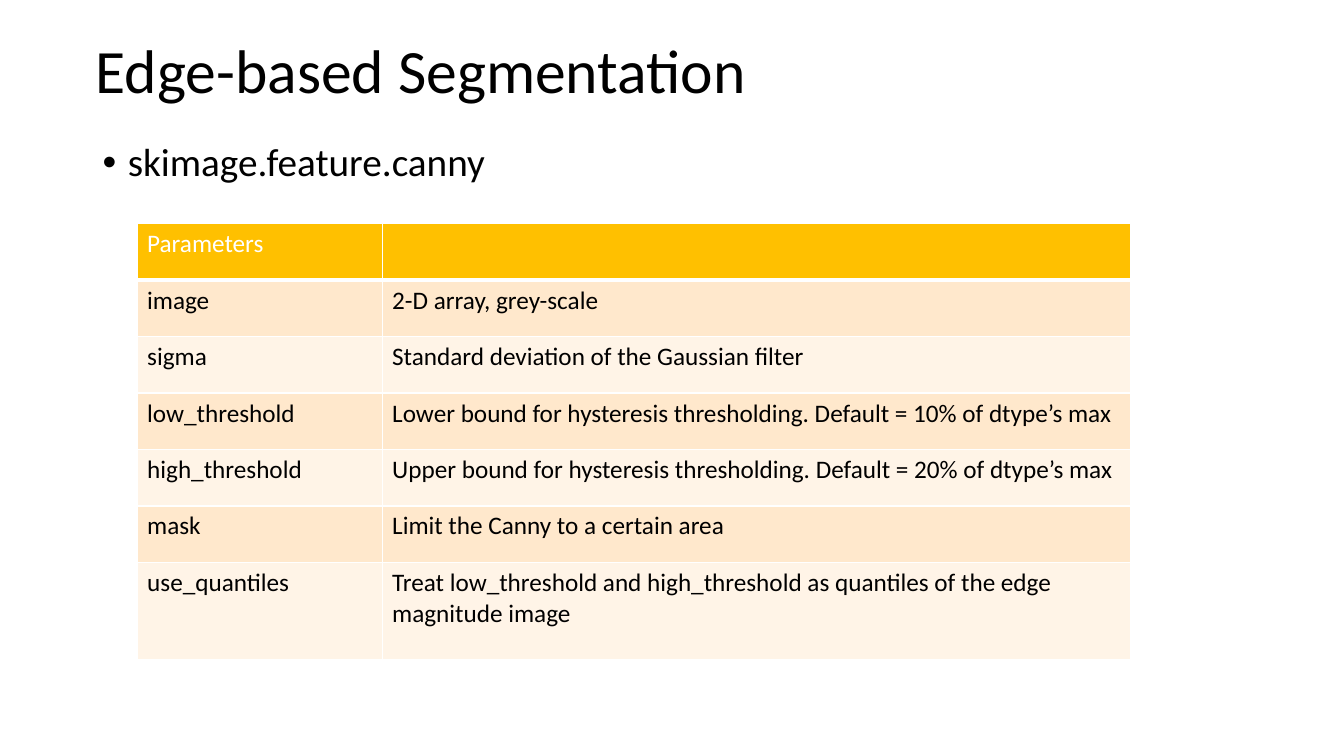
"""Build the slide on the parameters of skimage.feature.canny."""
import lxml.etree
import pptx
import pptx.dml.color
import pptx.enum.text
import pptx.oxml
import pptx.oxml.ns
import pptx.util

PX = 9144
THEME = {
    "font": "Calibri",
    "text": "000000",
    "header_text": "FFFFFF",
    "header": "FFC000",
    "bands": ("FFE8CC", "FFF4E7"),
    "border": "FFFFFF",
    "title_size": 44,
    "bullet_size": 28,
    "table_size": 18,
}
PARAMETERS = [
    ("Parameters", ""),
    ("image", "2-D array, grey-scale"),
    ("sigma", "Standard deviation of the Gaussian filter"),
    ("low_threshold", "Lower bound for hysteresis thresholding. Default = 10% of dtype’s max"),
    ("high_threshold", "Upper bound for hysteresis thresholding. Default = 20% of dtype’s max"),
    ("mask", "Limit the Canny to a certain area"),
    ("use_quantiles", "Treat low_threshold and high_threshold as quantiles of the edge magnitude image"),
]
COLUMN_WIDTHS = (243, 742)
ROW_HEIGHTS = [56] * 6 + [96]


def style(paragraph, size, color):
    """Set the font of a whole paragraph."""
    paragraph.font.name = THEME["font"]
    paragraph.font.size = pptx.util.Pt(size)
    paragraph.font.bold = False
    paragraph.font.color.rgb = pptx.dml.color.RGBColor.from_string(color)


def add_border(cell, side, points):
    """Draw one side of a table cell."""
    line = lxml.etree.SubElement(
        cell._tc.get_or_add_tcPr(), pptx.oxml.ns.qn(f"a:ln{side}"), w=str(pptx.util.Pt(points))
    )
    fill = lxml.etree.SubElement(line, pptx.oxml.ns.qn("a:solidFill"))
    lxml.etree.SubElement(fill, pptx.oxml.ns.qn("a:srgbClr"), val=THEME["border"])


deck = pptx.Presentation()
deck.slide_width, deck.slide_height = 1333 * PX, 750 * PX
slide = deck.slides.add_slide(deck.slide_layouts[5])

title = slide.shapes.title
title.left, title.top, title.width, title.height = 85 * PX, 0, 1150 * PX, 145 * PX
title.text_frame.text = "Edge-based Segmentation"
title.text_frame.vertical_anchor = pptx.enum.text.MSO_ANCHOR.MIDDLE
title.text_frame.auto_size = pptx.enum.text.MSO_AUTO_SIZE.NONE
heading = title.text_frame.paragraphs[0]
heading.alignment = pptx.enum.text.PP_ALIGN.LEFT
heading.line_spacing = 0.9
style(heading, THEME["title_size"], THEME["text"])

function_box = slide.shapes.add_textbox(92 * PX, 137 * PX, 1150 * PX, 476 * PX)
function_box.text_frame.word_wrap = True
function_name = function_box.text_frame.paragraphs[0]
function_name.text = "skimage.feature.canny"
function_name.line_spacing = 0.9
bullet_properties = function_name._p.get_or_add_pPr()
bullet_properties.set("marL", str(25 * PX))
bullet_properties.set("indent", str(-25 * PX))
lxml.etree.SubElement(bullet_properties, pptx.oxml.ns.qn("a:buFont"), typeface="Arial")
lxml.etree.SubElement(bullet_properties, pptx.oxml.ns.qn("a:buChar"), char="•")
style(function_name, THEME["bullet_size"], THEME["text"])

parameter_table = slide.shapes.add_table(
    len(PARAMETERS), len(COLUMN_WIDTHS),
    136 * PX, 222 * PX, sum(COLUMN_WIDTHS) * PX, sum(ROW_HEIGHTS) * PX,
).table
for column, width in zip(parameter_table.columns, COLUMN_WIDTHS):
    column.width = width * PX

for row_index, (texts, height) in enumerate(zip(PARAMETERS, ROW_HEIGHTS)):
    parameter_table.rows[row_index].height = height * PX
    is_header = row_index == 0
    fill_color = THEME["header"] if is_header else THEME["bands"][(row_index - 1) % 2]
    text_color = THEME["header_text"] if is_header else THEME["text"]
    for column_index, text in enumerate(texts):
        cell = parameter_table.cell(row_index, column_index)
        cell.text = text
        style(cell.text_frame.paragraphs[0], THEME["table_size"], text_color)
        for side in "LRTB":
            add_border(cell, side, 3 if is_header and side == "B" else 1)
        cell.fill.solid()
        cell.fill.fore_color.rgb = pptx.dml.color.RGBColor.from_string(fill_color)

deck.save("out.pptx")
